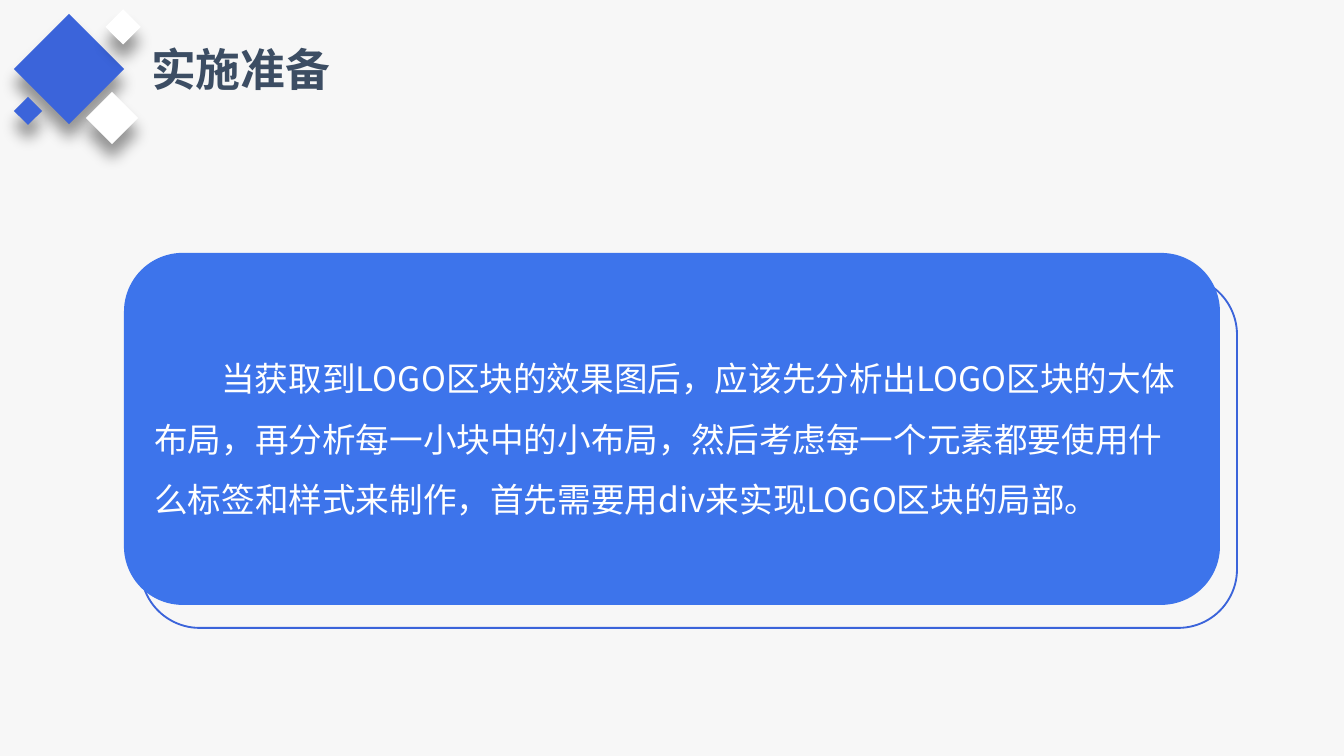
from dataclasses import dataclass

from lxml.etree import SubElement
from pptx import Presentation
from pptx.dml.color import RGBColor as RGB
from pptx.enum.shapes import MSO_SHAPE as SHAPE
from pptx.enum.text import MSO_ANCHOR as ANCHOR, MSO_AUTO_SIZE as AUTO, PP_ALIGN as ALIGN
from pptx.oxml.ns import qn
from pptx.util import Emu, Pt


@dataclass(frozen=True)
class Theme:
    font: str = "Noto Sans CJK SC"
    page: str = "F7F7F7"
    accent: str = "3B64DA"
    panel: str = "3D74EB"
    white: str = "FFFFFF"
    title: str = "3C4D63"
    shadow: str = "000000"
    title_size: int = 24
    body_size: int = 18


THEME = Theme()


def px(n):
    return Emu(round(n * 914400 / 134.4))


def add_box(slide, kind, x, y, w, h, fill=None, line=None):
    sp = slide.shapes.add_shape(kind, px(x), px(y), px(w), px(h))
    if fill:
        sp.fill.solid()
        sp.fill.fore_color.rgb = RGB.from_string(fill)
    else:
        sp.fill.background()
    if line:
        sp.line.color.rgb = RGB.from_string(line)
        sp.line.width = Pt(1)
    else:
        sp.line.fill.background()
    sp.shadow.inherit = False
    return sp


def write(p, text, size, color, bold=False):
    p.text = text
    p.alignment = ALIGN.LEFT
    p.font.size = Pt(size)
    p.font.bold = bold
    p.font.color.rgb = RGB.from_string(color)
    p.font.name = THEME.font
    for r in p.runs:
        SubElement(r._r.get_or_add_rPr(), qn("a:ea"), typeface=THEME.font)


def add_shadow(sp):
    effects = sp._element.spPr.find(qn("a:effectLst"))
    shadow = SubElement(effects, qn("a:outerShdw"), blurRad=str(Pt(8)), dist=str(Pt(8)),
                        dir="5400000", algn="t", rotWithShape="0")
    color = SubElement(shadow, qn("a:srgbClr"), val=THEME.shadow)
    SubElement(color, qn("a:alpha"), val="40000")


def add_diamonds(slide, x, y):
    diamonds = [
        (55, 55, 78, THEME.accent),
        (98, 104, 37, THEME.white),
        (109, 13, 25, THEME.white),
        (14, 97, 20, THEME.accent),
    ]
    for cx, cy, side, color in diamonds:
        sp = add_box(slide, SHAPE.RECTANGLE, x + cx - side / 2, y + cy - side / 2, side, side, color)
        sp.rotation = 45
        add_shadow(sp)


def add_header(slide, x, y, title):
    tb = slide.shapes.add_textbox(px(x + 124), px(y + 21), px(207), px(67))
    tf = tb.text_frame
    tf.word_wrap = False
    tf.auto_size = AUTO.SHAPE_TO_FIT_TEXT
    write(tf.paragraphs[0], title, THEME.title_size, THEME.title, bold=True)
    add_diamonds(slide, x, y)


def add_panel(slide, x, y, w, h, text):
    add_box(slide, SHAPE.ROUNDED_RECTANGLE, x + 17, y + 23, w, h, line=THEME.accent)
    sp = add_box(slide, SHAPE.ROUNDED_RECTANGLE, x, y, w, h, THEME.panel)
    tf = sp.text_frame
    tf.word_wrap = True
    tf.vertical_anchor = ANCHOR.MIDDLE
    p = tf.paragraphs[0]
    write(p, text, THEME.body_size, THEME.white)
    p.line_spacing = 1.5
    p._p.get_or_add_pPr().set("indent", str(px(67)))


def main():
    prs = Presentation()
    prs.slide_width, prs.slide_height = px(1344), px(756)
    s = prs.slides.add_slide(prs.slide_layouts[6])
    s.background.fill.solid()
    s.background.fill.fore_color.rgb = RGB.from_string(THEME.page)
    add_panel(s, 124, 253, 1096, 352,
              "当获取到LOGO区块的效果图后，应该先分析出LOGO区块的大体布局，"
              "再分析每一小块中的小布局，然后考虑每一个元素都要使用什么标签和样式来制作，"
              "首先需要用div来实现LOGO区块的局部。")
    add_header(s, 14, 14, "实施准备")
    prs.save("out.pptx")


if __name__ == "__main__":
    main()
